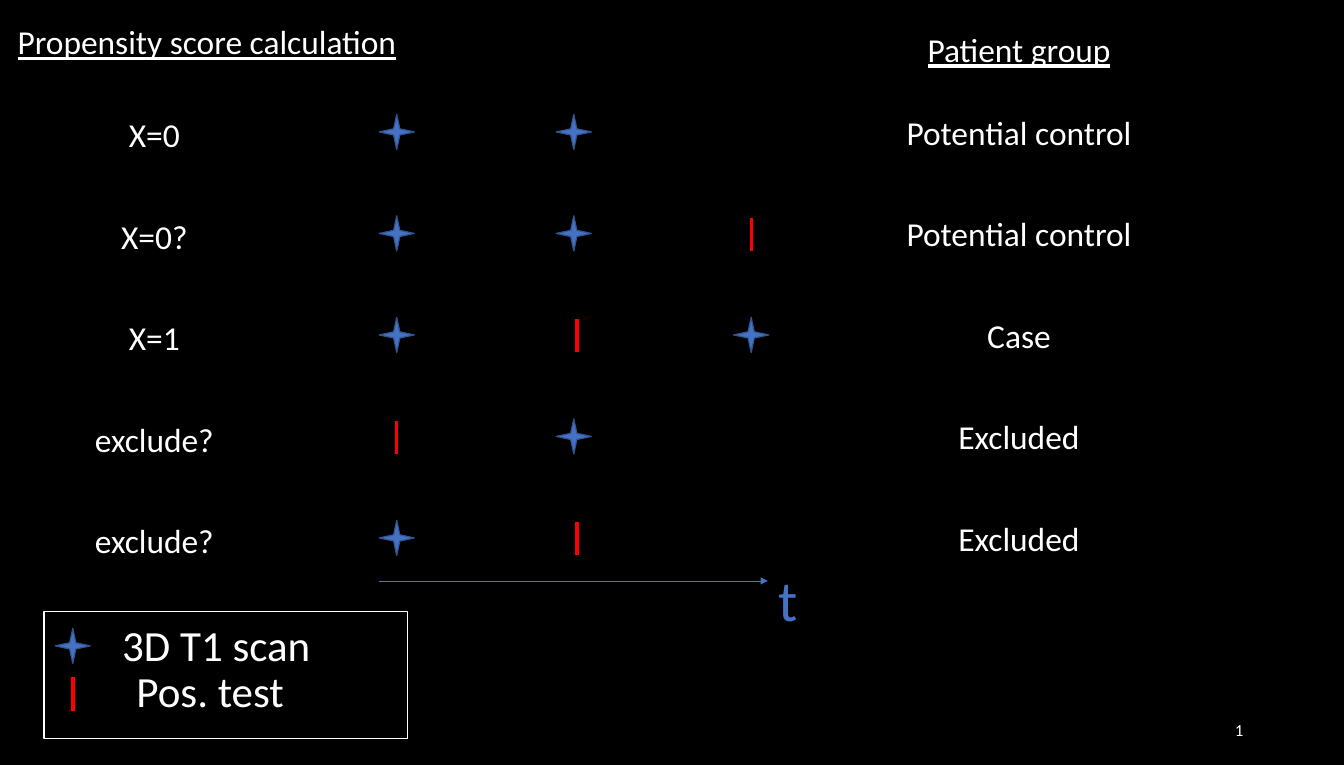
from pptx import Presentation
from pptx.dml.color import RGBColor
from pptx.enum.shapes import MSO_CONNECTOR, MSO_SHAPE
from pptx.enum.text import MSO_ANCHOR, MSO_AUTO_SIZE, PP_ALIGN
from pptx.oxml.ns import qn
from pptx.util import Cm, Pt
from lxml import etree

STRAIGHT = MSO_CONNECTOR.STRAIGHT
STAR, RECT = MSO_SHAPE.STAR_4_POINT, MSO_SHAPE.RECTANGLE
CENTER, RIGHT = PP_ALIGN.CENTER, PP_ALIGN.RIGHT
TOP, MIDDLE = MSO_ANCHOR.TOP, MSO_ANCHOR.MIDDLE
FIT_SHAPE = MSO_AUTO_SIZE.SHAPE_TO_FIT_TEXT

COLORS = {"background": "000000", "text": "FFFFFF", "scan": "4472C4",
          "scan_edge": "325491", "test": "FF0000"}
FONT = "Calibri"
STAR_SIZE = 1.04
BAR_HEIGHT = 0.98


def rgb(name):
    return RGBColor.from_string(COLORS[name])


class TimelineSlide:
    """Draws on one slide; all lengths are in centimetres."""

    def __init__(self, prs):
        self.s = prs.slides.add_slide(prs.slide_layouts[6])
        fill = self.s.background.fill
        fill.solid()
        fill.fore_color.rgb = rgb("background")

    def text(self, text, center, top, width, height=1.45, size=28, color="text",
             underline=None, align=CENTER, anchor=TOP, wrap=False):
        sp = self.s.shapes.add_textbox(Cm(center - width / 2), Cm(top), Cm(width), Cm(height))
        tf = sp.text_frame
        tf.word_wrap = wrap
        tf.vertical_anchor = anchor
        if not wrap:
            tf.auto_size = FIT_SHAPE
        p = tf.paragraphs[0]
        p.text = text
        p.alignment = align
        p.font.name = FONT
        p.font.size = Pt(size)
        p.font.underline = underline
        p.font.color.rgb = rgb(color)

    def shape(self, kind, left, top, width, height, line, fill=None):
        sp = self.s.shapes.add_shape(kind, Cm(left), Cm(top), Cm(width), Cm(height))
        sp.shadow.inherit = False
        if fill:
            sp.fill.solid()
            sp.fill.fore_color.rgb = rgb(fill)
        else:
            sp.fill.background()
        sp.line.color.rgb = rgb(line)
        sp.line.width = Pt(1)

    def line(self, x1, y1, x2, y2, color, width, arrow=False):
        cxn = self.s.shapes.add_connector(STRAIGHT, Cm(x1), Cm(y1), Cm(x2), Cm(y2))
        cxn.line.color.rgb = rgb(color)
        cxn.line.width = Pt(width)
        if arrow:
            etree.SubElement(cxn.line._get_or_add_ln(), qn("a:tailEnd"), type="triangle")
        etree.SubElement(cxn._element.spPr, qn("a:effectLst"))

    def scan(self, left, top):
        self.shape(STAR, left, top, STAR_SIZE, STAR_SIZE, "scan_edge", "scan")

    def test(self, x, top):
        self.line(x, top, x, top + BAR_HEIGHT, "test", 3)


# Layout: one row per scan/test pattern, one column per time point
ROW_TOP, ROW_GAP = 3.38, 3.0
SCAN_X = [11.2, 16.43, 21.67]
TEST_X = [11.71, 17.04, 22.2]
SCORE_X, GROUP_X = 4.56, 30.1

# Score, score width, events (S scan, T test, - none), group, group width
ROWS = [
    ("X=0", 2.03, "SS-", "Potential control", 7.24),
    ("X=0?", 2.49, "SST", "Potential control", 7.24),
    ("X=1", 2.03, "STS", "Case", 2.41),
    ("exclude?", 4.06, "TS-", "Excluded", 4.14),
    ("exclude?", 4.06, "ST-", "Excluded", 4.14),
]


def main():
    prs = Presentation()
    prs.slide_width, prs.slide_height = Cm(39.7), Cm(22.61)
    slide = TimelineSlide(prs)

    # Column headings
    slide.text("Propensity score calculation", 6.11, 0.51, 11.81, underline=True)
    slide.text("Patient group", GROUP_X, 0.74, 5.99, underline=True)

    # Patient rows
    for i, (score, score_width, events, group, group_width) in enumerate(ROWS):
        top = ROW_TOP + i * ROW_GAP
        slide.text(score, SCORE_X, top - 0.13, score_width)
        slide.text(group, GROUP_X, top - 0.2, group_width)
        for event, scan_x, test_x in zip(events, SCAN_X, TEST_X):
            if event == "S":
                slide.scan(scan_x, top)
            elif event == "T":
                slide.test(test_x, top + 0.05)

    # Time axis
    slide.line(11.2, 17.17, 22.68, 17.17, "scan", 0.5, arrow=True)
    slide.text("t", 23.28, 16.54, 1.09, 2.31, size=48, color="scan")

    # Legend
    slide.shape(RECT, 1.3, 18.08, 10.74, 3.76, "text")
    slide.scan(1.63, 18.57)
    slide.test(2.16, 20.02)
    slide.text("3D T1 scan", 6.39, 18.16, 6.12, 1.8, size=36)
    slide.text("Pos. test", 6.21, 19.53, 4.9, 1.8, size=36)

    # Slide number
    slide.text("1", 32.51, 20.96, 8.94, 1.19, size=14.1, align=RIGHT, anchor=MIDDLE, wrap=True)

    prs.save("out.pptx")


if __name__ == "__main__":
    main()
